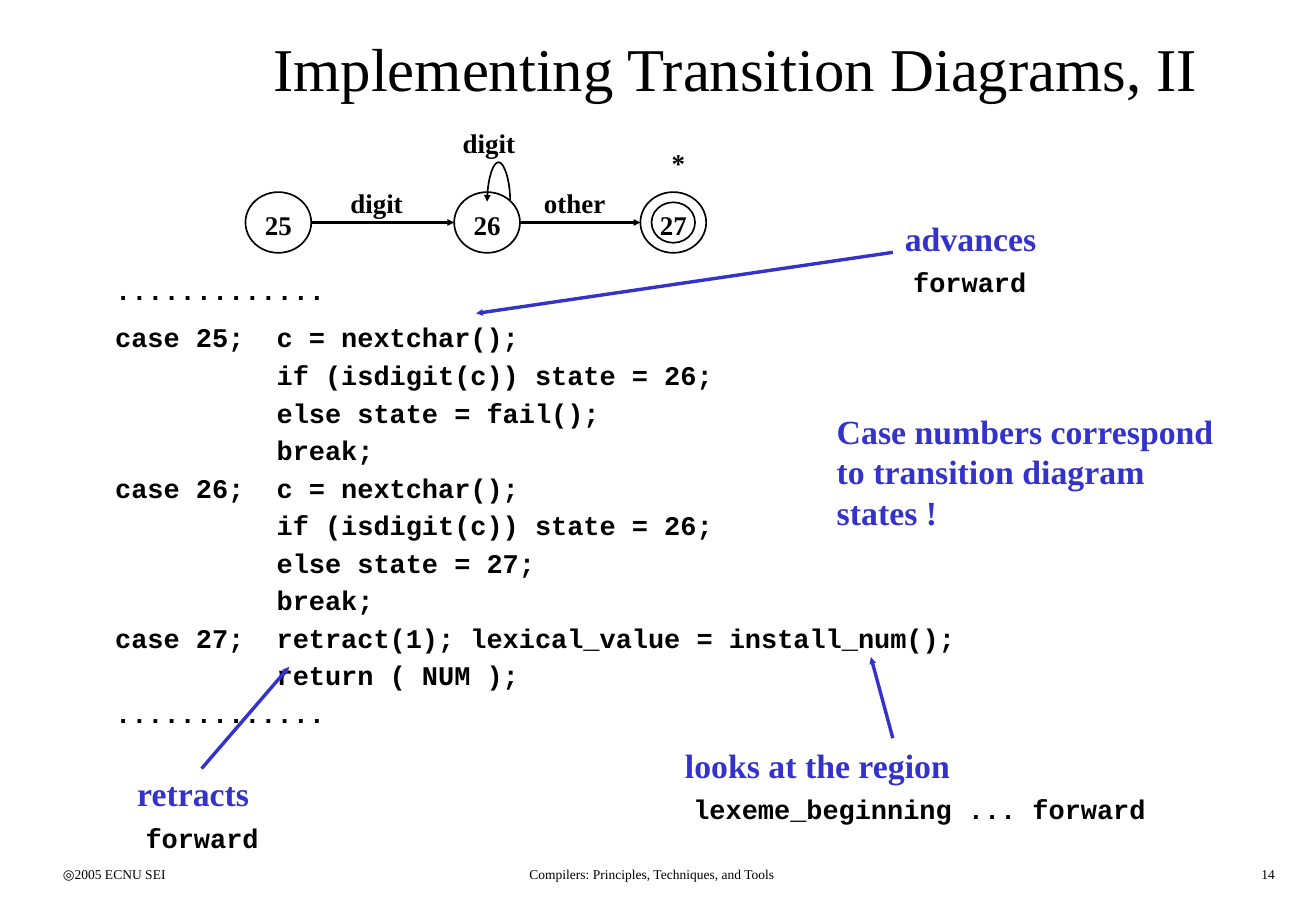
"""Builds the slide on implementing transition diagrams."""
from lxml import etree
from pptx import Presentation
from pptx.dml.color import RGBColor
from pptx.enum.shapes import MSO_CONNECTOR, MSO_SHAPE
from pptx.enum.text import MSO_ANCHOR, PP_ALIGN
from pptx.oxml import parse_xml
from pptx.oxml.ns import nsdecls, qn
from pptx.util import Pt

STRAIGHT, CURVE = MSO_CONNECTOR.STRAIGHT, MSO_CONNECTOR.CURVE
OVAL, MIDDLE = MSO_SHAPE.OVAL, MSO_ANCHOR.MIDDLE
LEFT, CENTER, RIGHT = PP_ALIGN.LEFT, PP_ALIGN.CENTER, PP_ALIGN.RIGHT
SERIF, MONO = "Times New Roman", "Courier New"
BLACK, BLUE = "000000", "3333CC"

prs = Presentation()
prs.slide_width, prs.slide_height = Pt(780), Pt(540)
s = prs.slides.add_slide(prs.slide_layouts[6])


def add_text(x, y, w, h, lines, size=16, color=BLACK, font=SERIF, bold=True, align=LEFT):
    tf = s.shapes.add_textbox(Pt(x), Pt(y), Pt(w), Pt(h)).text_frame
    tf.word_wrap = True
    for i, line in enumerate(lines):
        p = tf.paragraphs[0] if i == 0 else tf.add_paragraph()
        p.text, p.alignment = line, align
        p.font.name, p.font.size, p.font.bold = font, Pt(size), bold
        p.font.color.rgb = RGBColor.from_string(color)
    return tf


def add_arrow(x1, y1, x2, y2, color=BLACK, width=2, kind=STRAIGHT):
    c = s.shapes.add_connector(kind, Pt(x1), Pt(y1), Pt(x2), Pt(y2))
    c.line.width = Pt(width)
    c.line.color.rgb = RGBColor.from_string(color)
    etree.SubElement(c.line._get_or_add_ln(), qn("a:tailEnd"), type="triangle", w="sm", len="sm")
    etree.SubElement(c._element.spPr, qn("a:effectLst"))
    return c


add_text(30.2, 509.8, 163, 18, ["◎2005 ECNU SEI"], 8, bold=False)
add_text(240.5, 509.8, 292, 18, ["Compilers: Principles, Techniques, and Tools"], 8, bold=False, align=CENTER)
add_text(599.8, 509.8, 163, 18, ["14"], 8, bold=False, align=RIGHT)

tf = add_text(92.2, 0, 687.6, 87.8, ["Implementing Transition Diagrams, II"], 36, bold=False, align=CENTER)
tf.vertical_anchor = MIDDLE
tf.paragraphs[0].line_spacing = 0.8

code = [
    ".............",
    "case 25;  c = nextchar();",
    "          if (isdigit(c)) state = 26;",
    "          else state = fail();",
    "          break;",
    "case 26;  c = nextchar();",
    "          if (isdigit(c)) state = 26;",
    "          else state = 27;",
    "          break;",
    "case 27;  retract(1); lexical_value = install_num();",
    "          return ( NUM );",
    ".............",
]
tf = add_text(61.2, 158.5, 643.7, 283, code, font=MONO)
for i, p in enumerate(tf.paragraphs[1:]):
    p.space_before = Pt(8.8)
    if i:
        p.line_spacing = 0.7

STATE_W, STATE_H, STATE_Y = 39, 36, 131.9
ovals = [(x, 113.9, STATE_W, STATE_H) for x in (145.5, 269.2, 379.6)]
ovals.append((386.2, 119.9, 25.8, 24))
for x, y, w, h in ovals:
    sp = s.shapes.add_shape(OVAL, Pt(x), Pt(y), Pt(w), Pt(h))
    sp.shadow.inherit = False
    sp.fill.background()
    sp.line.width = Pt(1)
    sp.line.color.rgb = RGBColor.from_string(BLACK)
for (x, *_), number in zip(ovals, ("25", "26", "27")):
    add_text(x, 119.9, STATE_W, 26.6, [number], align=CENTER)
for start, end in zip(ovals[:2], ovals[1:3]):
    add_arrow(start[0] + STATE_W, STATE_Y, end[0], STATE_Y)

loop = add_arrow(295.9, 126, 295.2, 112.3, width=1, kind=CURVE)
loop.rotation = 270
guides = loop._element.spPr.find(qn("a:prstGeom")).get_or_add_avLst()
guides.append(parse_xml(f'<a:gd {nsdecls("a")} name="adj1" fmla="val -3200000"/>'))

for x, y, w, label in [(190.8, 107.3, 64.8, "digit"), (308.2, 107.3, 64.8, "other"), (379.4, 83.5, 45.4, "*")]:
    add_text(x, y, w, 26.6, [label], align=CENTER)
add_text(267.2, 71.3, 119, 26.6, ["digit"])

add_text(488.9, 239.8, 254.9, 77, ["Case numbers correspond to transition diagram states !"], 20, BLUE)

notes = [
    (529.2, 125.3, 116.6, "advances", "forward"),
    (398.9, 437.8, 344.2, "looks at the region", "lexeme_beginning ... forward"),
    (74.2, 454.7, 116.6, "retracts", "forward"),
]
for x, y, w, action, pointer in notes:
    tf = add_text(x, y, w, 55.4, [action, pointer], 20, BLUE)
    p = tf.paragraphs[1]
    p._p.get_or_add_pPr().set("marL", str(Pt(5)))
    p.space_before = Pt(4.5)
    p.font.name, p.font.size = MONO, Pt(16)
    p.font.color.rgb = RGBColor.from_string(BLACK)
for ends in [(529.2, 149.6, 282.2, 185.8), (529.2, 437.6, 516.2, 389.5), (119.5, 455.6, 171.4, 395.3)]:
    add_arrow(*ends, color=BLUE)

prs.save("out.pptx")
